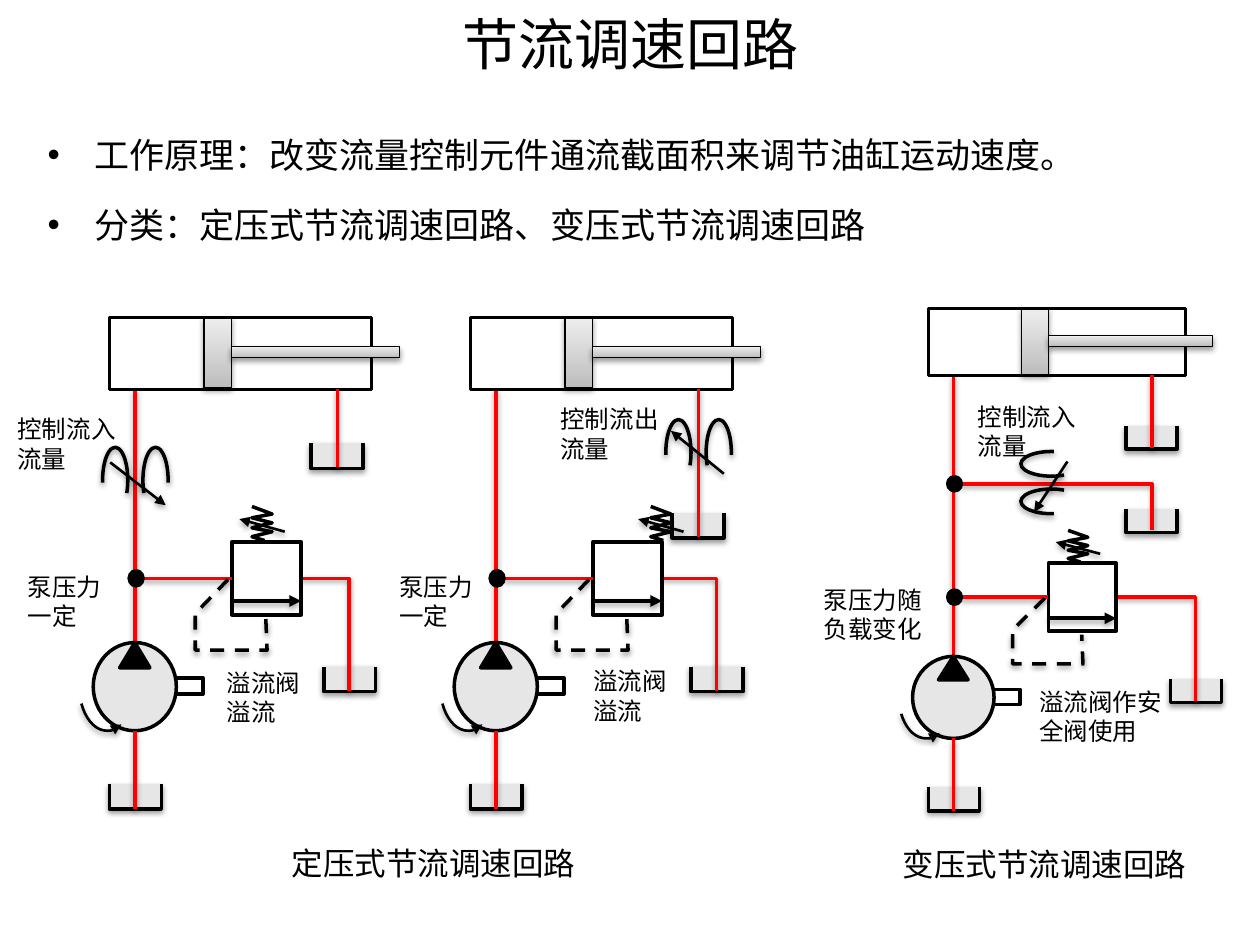
from dataclasses import dataclass, replace
from pptx import Presentation
from pptx.dml.color import RGBColor as Rgb
from pptx.enum.dml import MSO_LINE as Dash
from pptx.enum.shapes import MSO_CONNECTOR as Connector, MSO_SHAPE as Shape
from pptx.enum.text import MSO_ANCHOR as Anchor, PP_ALIGN as Align
from pptx.oxml import parse_xml
from pptx.oxml.ns import nsdecls, qn
from pptx.util import Inches, Pt

WIDTH, HEIGHT = Inches(10), Inches(7.5)
COLUMN, ROW = WIDTH / 1000, HEIGHT / 750


@dataclass(frozen=True)
class Theme:
    font: str = "Noto Sans CJK SC"
    black: Rgb = Rgb(0, 0, 0)
    white: Rgb = Rgb(255, 255, 255)
    oil: Rgb = Rgb(255, 0, 0)
    tank: Rgb = Rgb(0xE6, 0xE6, 0xE6)
    metal: tuple = (Rgb(0xBD, 0xBD, 0xBD), Rgb(0xEE, 0xEE, 0xEE))
    title: int = 32
    body: int = 20
    caption: int = 18
    label: int = 14
    thin: float = 0.75
    medium: float = 1.5
    thick: float = 2
    arrow: float = 2.25


THEME = Theme()


@dataclass(frozen=True)
class Frame:
    left: float = 0
    top: float = 0
    across: float = 1
    down: float = 1

    def at(self, x, y):
        return (round((self.left + x * self.across) * COLUMN),
                round((self.top + y * self.down) * ROW))

    def box(self, x, y, width, height):
        return (*self.at(x, y), round(width * self.across * COLUMN),
                round(height * self.down * ROW))


@dataclass(frozen=True)
class Circuit:
    frame: Frame
    pump: float
    valve: float
    tank: float
    drain: float
    relief: float
    throttle: tuple
    throttle_arrow: tuple
    spring_shift: float = 0
    bypass: float = 0


def add_shadow(shape, alpha=38, distance=20000):
    shape._element.spPr.append(parse_xml(
        f'<a:effectLst {nsdecls("a")}><a:outerShdw blurRad="40000" dist="{distance}" dir="5400000" '
        f'rotWithShape="0"><a:srgbClr val="000000"><a:alpha val="{alpha}000"/></a:srgbClr>'
        '</a:outerShdw></a:effectLst>'))


def style(shape, fill=None, color=THEME.black, width=THEME.thick, shadow=False, dash=False):
    shape.line.color.rgb = color
    shape.line.width = Pt(width)
    if dash:
        shape.line.dash_style = Dash.DASH
    if fill is None:
        shape.fill.background()
    elif isinstance(fill, Rgb):
        shape.fill.solid()
        shape.fill.fore_color.rgb = fill
    else:
        shape.fill.gradient()
        shape.fill.gradient_angle = 90
        for stop, stop_color in zip(shape.fill.gradient_stops, fill):
            stop.color.rgb = stop_color
    if shadow:
        add_shadow(shape)
    else:
        shape.shadow.inherit = False
    return shape


def add_head(shape, end):
    shape.line._get_or_add_ln().append(parse_xml(f'<a:{end} {nsdecls("a")} type="triangle"/>'))


def preset(slide, kind, box, fill=None, **options):
    return style(slide.shapes.add_shape(kind, *box), fill, **options)


def arc(slide, box, start, end, width=THEME.thick):
    shape = preset(slide, Shape.ARC, box, width=width, shadow=True)
    for index, angle in enumerate((start, end)):
        shape.adjustments[index] = angle * 0.6
    return shape


def path(slide, frame, points, fill=None, **options):
    first, *others = [frame.at(*point) for point in points]
    builder = slide.shapes.build_freeform(*first)
    builder.add_line_segments(others, close=False)
    return style(builder.convert_to_shape(), fill, **options)


def line(slide, start, end, color=THEME.oil, width=THEME.thick, arrow=False):
    connector = slide.shapes.add_connector(Connector.STRAIGHT, *start, *end)
    connector.line.color.rgb = color
    connector.line.width = Pt(width)
    if arrow:
        add_head(connector, "tailEnd")
        add_shadow(connector, 35, 23000)
    else:
        add_shadow(connector)
    return connector


def draw_tank(slide, frame, x):
    path(slide, frame, [(x, 0), (x, 20), (x + 41, 20), (x + 41, 0)], THEME.tank, shadow=True)


def draw_node(slide, frame, y):
    preset(slide, Shape.OVAL, frame.box(15.5, y - 6, 11, 12), THEME.black)


def draw_cylinder(slide, frame):
    preset(slide, Shape.RECTANGLE, frame.box(75, 0, 22, 56), THEME.metal,
           width=THEME.thin, shadow=True)
    preset(slide, Shape.RECTANGLE, frame.box(0, 0, 208, 57))
    preset(slide, Shape.RECTANGLE, frame.box(97, 23, 133, 9), THEME.metal,
           width=THEME.thin, shadow=True)


def draw_pump(slide, frame):
    preset(slide, Shape.RECTANGLE, frame.box(47, 28, 27, 13), THEME.white)
    preset(slide, Shape.OVAL, frame.box(-13, 0, 66, 70), THEME.tank)
    preset(slide, Shape.ISOSCELES_TRIANGLE, frame.box(8, 0, 24, 20), THEME.black)
    add_head(arc(slide, frame.box(-24, 0, 44, 70), 69.24, 146.48, THEME.medium), "headEnd")


def draw_relief_valve(slide, frame, relief, shift):
    draw_tank(slide, replace(frame, top=frame.top + 99 * frame.down), relief - 20)
    path(slide, frame, [(152, 29), (relief, 29), (relief, 118)], color=THEME.oil, shadow=True)
    body = preset(slide, Shape.RECTANGLE, frame.box(97, 0, 55, 58), THEME.white)
    feed = line(slide, frame.at(97, 29), frame.at(26, 29))
    feed.begin_connect(body, 1)
    draw_node(slide, frame, 29)
    line(slide, frame.at(97, 47), frame.at(152, 47), THEME.black, THEME.arrow, True)
    path(slide, frame, [(94, 30), (68, 57), (68, 86), (125, 86), (124, 61)],
         shadow=True, dash=True)
    line(slide, frame.at(139 + shift, -8), frame.at(103 + shift, -18),
         THEME.black, THEME.medium, True)
    turns = (-4, -8, -11, -15, -19, -22, -28)
    coil = [(113 + shift + 16 * (index % 2), y) for index, y in enumerate(turns)]
    path(slide, frame, [(123 + shift, -1), *coil])


def draw_throttle(slide, frame, arrow, turned):
    for side, angles in ((-1, (168.43, 48.37)), (1, (131.63, 11.57))):
        x, y = (0, -16 * side) if turned else (16 * side, 0)
        wing = arc(slide, frame.box(x - 10, y - 26, 20, 52), *angles)
        wing.rotation = 270 if turned else 0
    start, end = arrow
    line(slide, frame.at(*start), frame.at(*end), THEME.black, THEME.medium, True)


def draw_circuit(slide, circuit):
    frame = circuit.frame

    def part(top):
        return replace(frame, top=top)

    for top, x in ((circuit.tank, 0), (circuit.drain, 160)):
        draw_tank(slide, part(top), x)
    line(slide, part(circuit.pump).at(20, 0), frame.at(20, 57))
    draw_cylinder(slide, frame)
    draw_pump(slide, part(circuit.pump))
    line(slide, part(circuit.tank).at(20, 20), part(circuit.pump).at(20, 70))
    line(slide, part(circuit.drain).at(181, 19), frame.at(181, 57))
    if circuit.bypass:
        bypass = part(circuit.bypass)
        draw_tank(slide, part(circuit.bypass + 20), 160)
        path(slide, bypass, [(20, 0), (181, 0), (181, 39)], color=THEME.oil, shadow=True)
        draw_node(slide, bypass, 0)
    draw_relief_valve(slide, part(circuit.valve), circuit.relief, circuit.spring_shift)
    x, y = circuit.throttle
    draw_throttle(slide, replace(frame, left=x, top=y), circuit.throttle_arrow,
                  bool(circuit.bypass))


def write(paragraph, text, size):
    run = paragraph.add_run()
    run.text = text
    run.font.size = Pt(size)
    run.font.name = THEME.font
    run.font.color.rgb = THEME.black
    east_asian = run._r.get_or_add_rPr().makeelement(qn("a:ea"), {"typeface": THEME.font})
    run._r.rPr.find(qn("a:latin")).addnext(east_asian)


def draw_title(slide, box, text):
    title = slide.shapes.title
    title.left, title.top, title.width, title.height = box
    title.text_frame.vertical_anchor = Anchor.MIDDLE
    paragraph = title.text_frame.paragraphs[0]
    paragraph.alignment = Align.CENTER
    write(paragraph, text, THEME.title)


def draw_text(slide, box, text, size, align=Align.LEFT):
    text_frame = slide.shapes.add_textbox(*box).text_frame
    text_frame.word_wrap = True
    text_frame.paragraphs[0].alignment = align
    write(text_frame.paragraphs[0], text, size)


def draw_bullets(slide, box, lines):
    text_frame = slide.shapes.add_textbox(*box).text_frame
    text_frame.word_wrap = True
    for index, text in enumerate(lines):
        paragraph = text_frame.add_paragraph() if index else text_frame.paragraphs[0]
        properties = paragraph._p.get_or_add_pPr()
        properties.set("marL", str(Inches(0.37)))
        properties.set("indent", str(Inches(-0.37)))
        properties.append(parse_xml(f'<a:buFont {nsdecls("a")} typeface="Arial"/>'))
        properties.append(parse_xml(f'<a:buChar {nsdecls("a")} char="•"/>'))
        paragraph.line_spacing = 1.5
        if index:
            paragraph.space_before = Pt(4)
        write(paragraph, text, THEME.body)


CIRCUITS = (
    Circuit(Frame(87, 252), 510, 430, 622, 352, 190, (107.5, 381), ((-20, -14), (24, 20))),
    Circuit(Frame(373.5, 252), 510, 430, 622, 407, 195, (554.5, 359), ((20, 17), (-22, -17)), 30),
    Circuit(Frame(737, 245, 0.98, 0.93), 521, 447, 625, 338, 216, (834.5, 383),
            ((13, -18), (-14, 25)), bypass=384),
)
LABELS = (
    ("控制流入流量", (4, 324, 116, 70)), ("泵压力一定", (12, 449, 86, 57)),
    ("溢流阀溢流", (170, 525, 93, 57)), ("控制流出流量", (435, 316, 100, 57)),
    ("泵压力一定", (307, 449, 91, 57)), ("溢流阀溢流", (461, 524, 96, 57)),
    ("控制流入流量", (766, 314, 113, 66)), ("泵压力随负载变化", (644, 459, 113, 57)),
    ("溢流阀作安全阀使用", (815, 540, 126, 57)),
)
CAPTIONS = (("定压式节流调速回路", (149, 665, 390, 58)), ("变压式节流调速回路", (640, 666, 378, 54)))


def main():
    presentation = Presentation()
    presentation.slide_width, presentation.slide_height = WIDTH, HEIGHT
    slide = presentation.slides.add_slide(presentation.slide_layouts[5])
    page = Frame()
    draw_title(slide, page.box(146, 0, 709, 68), "节流调速回路")
    draw_bullets(slide, page.box(28, 84, 945, 129), (
        "工作原理：改变流量控制元件通流截面积来调节油缸运动速度。",
        "分类：定压式节流调速回路、变压式节流调速回路"))
    for circuit in CIRCUITS:
        draw_circuit(slide, circuit)
    for text, box in LABELS:
        draw_text(slide, page.box(*box), text, THEME.label)
    for text, box in CAPTIONS:
        draw_text(slide, page.box(*box), text, THEME.caption, Align.CENTER)
    presentation.save("out.pptx")


if __name__ == "__main__":
    main()
